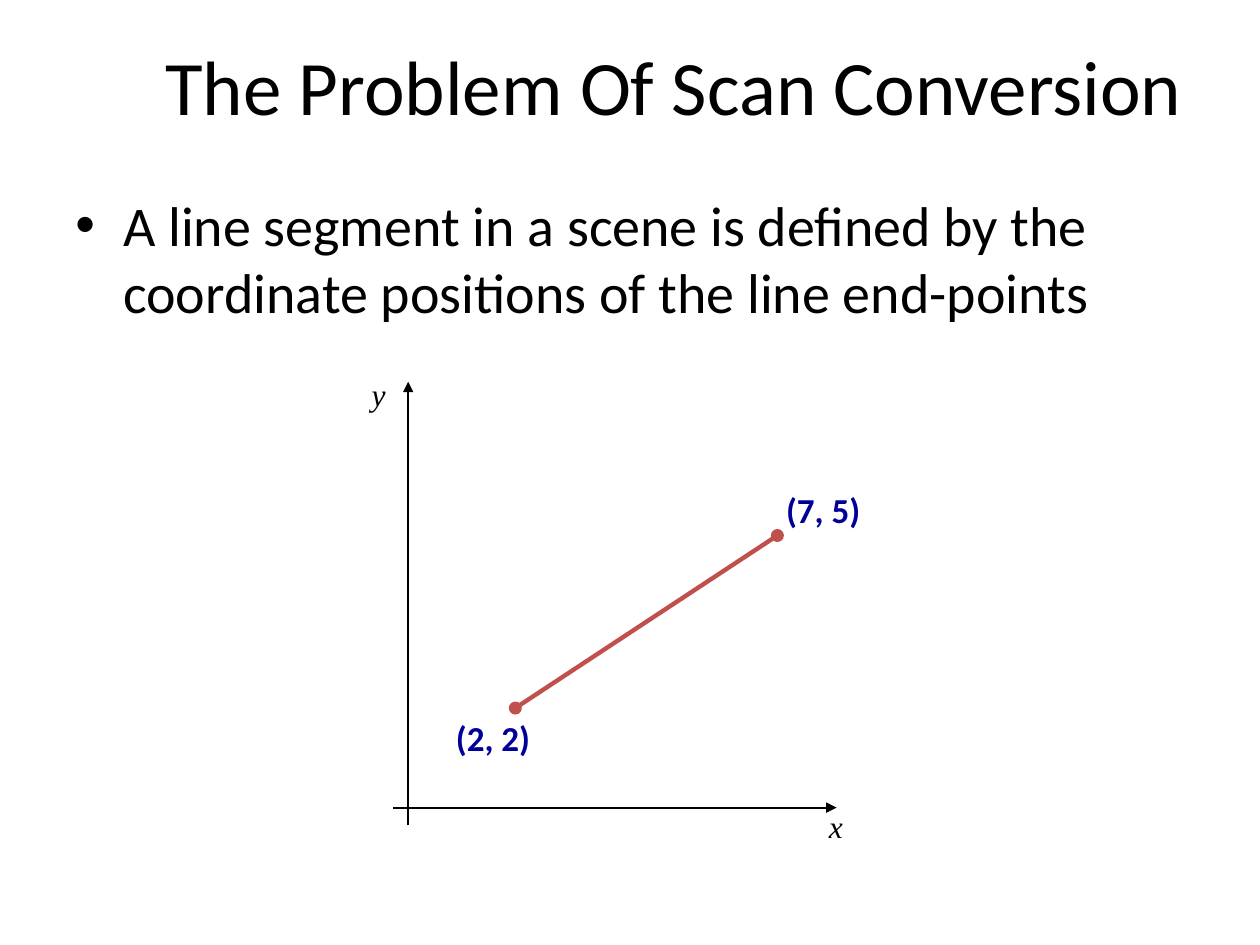
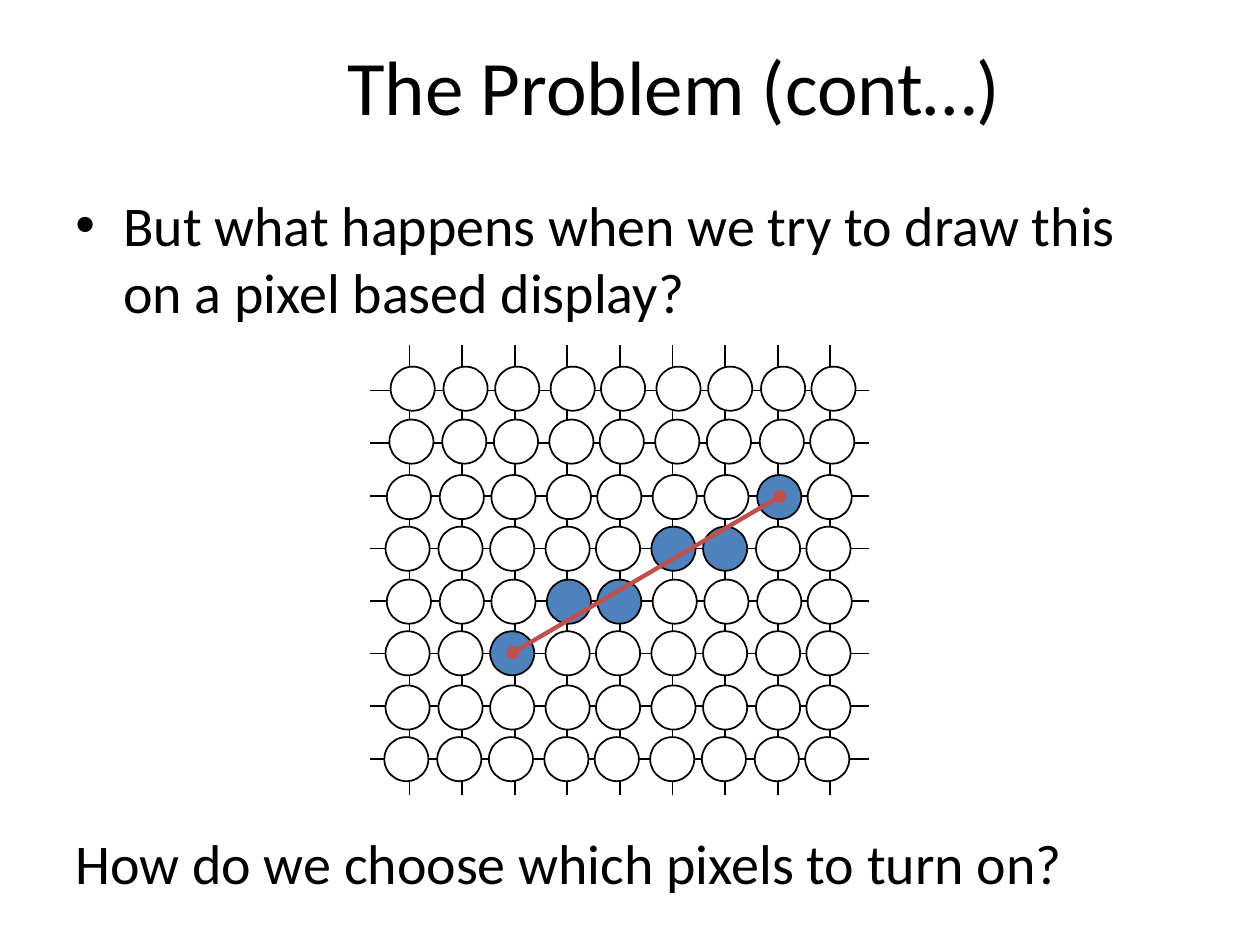
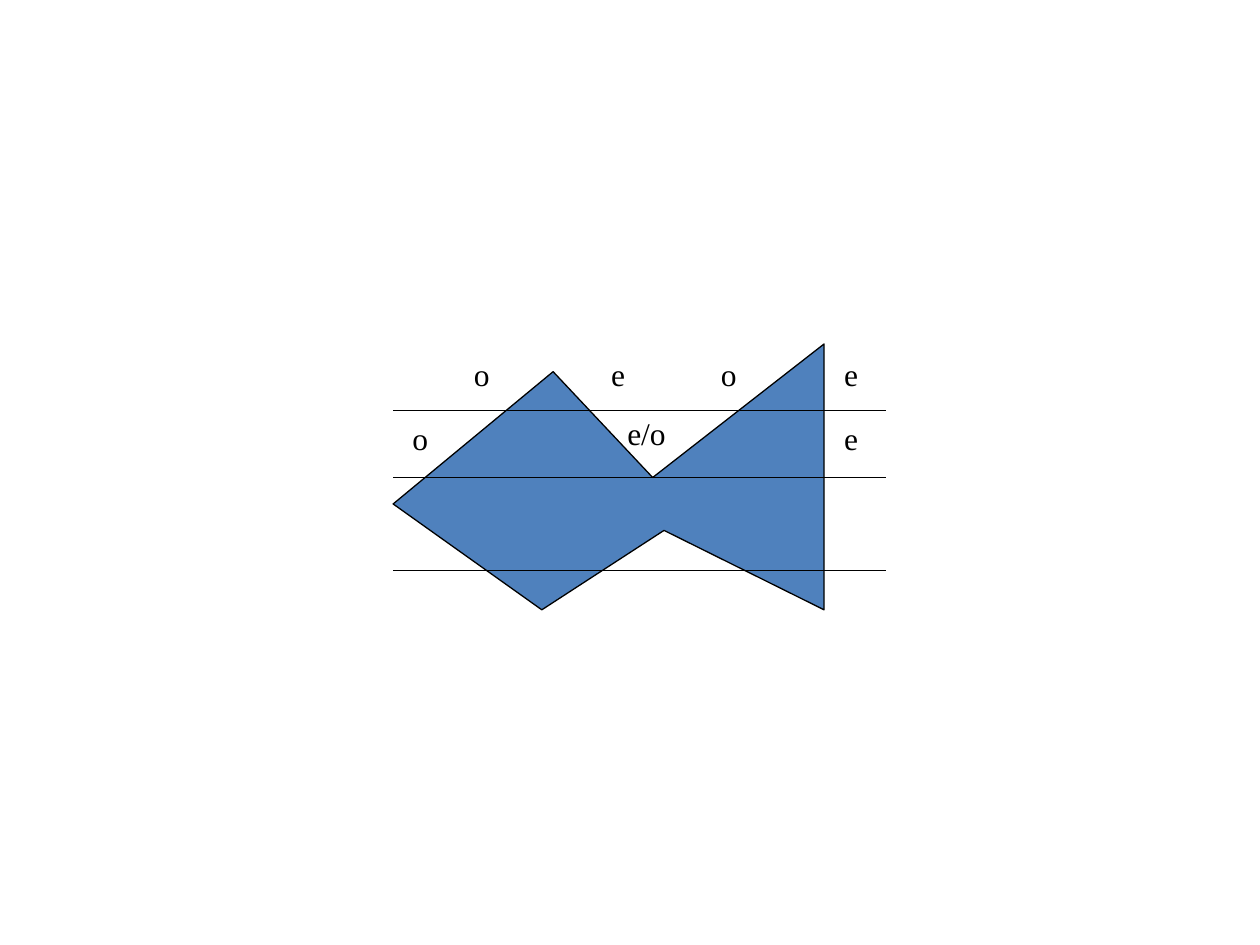
from dataclasses import dataclass
from itertools import product

from pptx import Presentation
from pptx.dml.color import RGBColor
from pptx.enum.shapes import MSO_CONNECTOR, MSO_SHAPE
from pptx.enum.text import MSO_ANCHOR, PP_ALIGN
from pptx.oxml.ns import qn
from pptx.util import Inches, Pt
from lxml.etree import SubElement


@dataclass(frozen=True)
class Theme:
    black: str = "000000"
    white: str = "FFFFFF"
    blue: str = "4F81BD"
    red: str = "C0504D"
    navy: str = "000099"
    sans: str = "Calibri"
    serif: str = "Times New Roman"
    title: int = 44
    body: int = 32
    point: int = 20
    label: int = 18
    thin: float = 0.75
    rule: float = 1
    thick: float = 2.5


T = Theme()
LAYOUT_TITLE_ONLY, LAYOUT_BLANK = 5, 6
TITLE_BOX = (0.7, 0, 9.3, 1.35)

SCAN_TITLE = "The Problem Of Scan Conversion"
SCAN_BULLET = ("A line segment in a scene is defined by the "
               "coordinate positions of the line end-points")
AXES = [((3.24, 6.55), (3.24, 3.03)), ((3.12, 6.41), (6.64, 6.41))]
AXIS_NAMES = [("x", (6.48, 6.36, 0.31, 0.4)), ("y", (2.85, 2.93, 0.31, 0.4))]
SEGMENT = ((4.09, 5.62), (6.17, 4.25))
END_POINTS = [("(2, 2)", (3.52, 5.64, 0.85, 0.43)),
              ("(7, 5)", (6.14, 3.83, 0.85, 0.43))]

PIXEL_TITLE = "The Problem (cont…)"
PIXEL_BULLET = "But what happens when we try to draw this on a pixel based display?"
PIXEL_QUESTION = "How do we choose which pixels to turn on?"
GRID_LEFT, GRID_RIGHT, GRID_TOP, GRID_BOTTOM = 2.94, 6.9, 2.74, 6.31
FIRST_X, FIRST_Y, PITCH = 3.25, 3.1, 0.4175
PIXEL_SIZE = 0.35
PIXEL_LEFTS = [3.05, 3.47, 3.88, 4.32, 4.72, 5.16, 5.57, 5.99, 6.39]
PIXEL_ROWS = [(2.91, 0.05), (3.33, 0.04), (3.77, 0.02), (4.18, 0.01),
              (4.6, 0.02), (5.01, 0.01), (5.44, 0.01), (5.85, 0)]
LIT_PIXELS = {(2, 5), (3, 4), (4, 4), (5, 3), (6, 3), (7, 2)}
PIXEL_SEGMENT = ((4.07, 5.18), (6.19, 3.94))

POLYGON = [(3.12, 4), (4.39, 2.95), (5.18, 3.79), (6.54, 2.73),
           (6.54, 4.84), (5.27, 4.21), (4.3, 4.84)]
SCAN_LEFT, SCAN_RIGHT = 3.12, 7.03
SCAN_LINES = [3.26, 3.79, 4.53]
PARITY_SIZE = (0.43, 0.51)
PARITIES = [("o", 3.61, 2.77), ("o", 5.57, 2.77), ("e", 4.69, 2.77),
            ("e", 6.54, 2.77), ("o", 3.12, 3.28), ("e", 6.54, 3.28)]
SHARED_VERTEX = ("e/o", (4.88, 3.24, 0.68, 0.51))


def rgb(color):
    return RGBColor.from_string(color)


def inches(values):
    return [Inches(v) for v in values]


def style(p, size, font=T.sans, color=T.black, bold=False, italic=False):
    for r in p.runs:
        f = r.font
        f.size, f.name, f.bold, f.italic = Pt(size), font, bold, italic
        f.color.rgb = rgb(color)


def add_text(slide, text, box, size, wrap=True, align=PP_ALIGN.LEFT, **look):
    tf = slide.shapes.add_textbox(*inches(box)).text_frame
    tf.word_wrap = wrap
    p = tf.paragraphs[0]
    p.text = text
    p.alignment = align
    style(p, size, **look)
    return p


def add_bullet(slide, text, box):
    p = add_text(slide, text, box, T.body)
    pPr = p._p.get_or_add_pPr()
    pPr.set("marL", str(Inches(0.38)))
    pPr.set("indent", str(-Inches(0.38)))
    SubElement(pPr, qn("a:buFont")).set("typeface", "Arial")
    SubElement(pPr, qn("a:buChar")).set("char", "•")


def add_title_slide(prs, title):
    slide = prs.slides.add_slide(prs.slide_layouts[LAYOUT_TITLE_ONLY])
    sp = slide.shapes.title
    sp.left, sp.top, sp.width, sp.height = inches(TITLE_BOX)
    tf = sp.text_frame
    tf.text = title
    tf.vertical_anchor = MSO_ANCHOR.MIDDLE
    p = tf.paragraphs[0]
    p.alignment = PP_ALIGN.CENTER
    style(p, T.title)
    return slide


def add_line(slide, start, end, color=T.black, width=T.rule, head=None, tail=None):
    line = slide.shapes.add_connector(MSO_CONNECTOR.STRAIGHT, *inches(start + end))
    line.line.color.rgb = rgb(color)
    line.line.width = Pt(width)
    ln = line.line._get_or_add_ln()
    for tag, kind in (("a:headEnd", head), ("a:tailEnd", tail)):
        if kind:
            SubElement(ln, qn(tag)).set("type", kind)
    SubElement(line._element.spPr, qn("a:effectLst"))


def add_segment(slide, ends):
    add_line(slide, *ends, color=T.red, width=T.thick, head="oval", tail="oval")


def paint(sp, fill, width):
    sp.shadow.inherit = False
    sp.fill.solid()
    sp.fill.fore_color.rgb = rgb(fill)
    sp.line.color.rgb = rgb(T.black)
    sp.line.width = Pt(width)


def build_scan_conversion(prs):
    slide = add_title_slide(prs, SCAN_TITLE)
    add_bullet(slide, SCAN_BULLET, (0.5, 1.46, 9, 6.04))
    for start, end in AXES:
        add_line(slide, start, end, tail="triangle")
    for name, box in AXIS_NAMES:
        add_text(slide, name, box, T.label, wrap=False, font=T.serif, italic=True)
    add_segment(slide, SEGMENT)
    for text, box in END_POINTS:
        add_text(slide, text, box, T.point, wrap=False, color=T.navy, bold=True)


def build_pixel_grid(prs):
    slide = add_title_slide(prs, PIXEL_TITLE)
    add_bullet(slide, PIXEL_BULLET, (0.5, 1.46, 9, 1.29))
    add_text(slide, PIXEL_QUESTION, (0.5, 6.53, 9, 0.76), T.body)
    for col in range(len(PIXEL_LEFTS)):
        x = FIRST_X + col * PITCH
        add_line(slide, (x, GRID_BOTTOM), (x, GRID_TOP))
    for row in range(len(PIXEL_ROWS)):
        y = FIRST_Y + row * PITCH
        add_line(slide, (GRID_LEFT, y), (GRID_RIGHT, y))
    for (row, (top, shift)), (col, left) in product(enumerate(PIXEL_ROWS),
                                                    enumerate(PIXEL_LEFTS)):
        box = (left + shift, top, PIXEL_SIZE, PIXEL_SIZE)
        pixel = slide.shapes.add_shape(MSO_SHAPE.OVAL, *inches(box))
        paint(pixel, T.blue if (col, row) in LIT_PIXELS else T.white, T.rule)
    add_segment(slide, PIXEL_SEGMENT)


def build_polygon_parity(prs):
    slide = prs.slides.add_slide(prs.slide_layouts[LAYOUT_BLANK])
    start, *rest = [inches(point) for point in POLYGON]
    outline = slide.shapes.build_freeform(*start)
    outline.add_line_segments(rest, close=True)
    paint(outline.convert_to_shape(), T.blue, T.thin)
    for y in SCAN_LINES:
        add_line(slide, (SCAN_LEFT, y), (SCAN_RIGHT, y), width=T.thin)
    for text, x, y in PARITIES:
        add_text(slide, text, (x, y, *PARITY_SIZE), T.label,
                 align=PP_ALIGN.CENTER, font=T.serif)
    add_text(slide, *SHARED_VERTEX, T.label, font=T.serif)


def main():
    prs = Presentation()
    prs.slide_width, prs.slide_height = Inches(10), Inches(7.5)
    build_scan_conversion(prs)
    build_pixel_grid(prs)
    build_polygon_parity(prs)
    prs.save("out.pptx")


if __name__ == "__main__":
    main()
